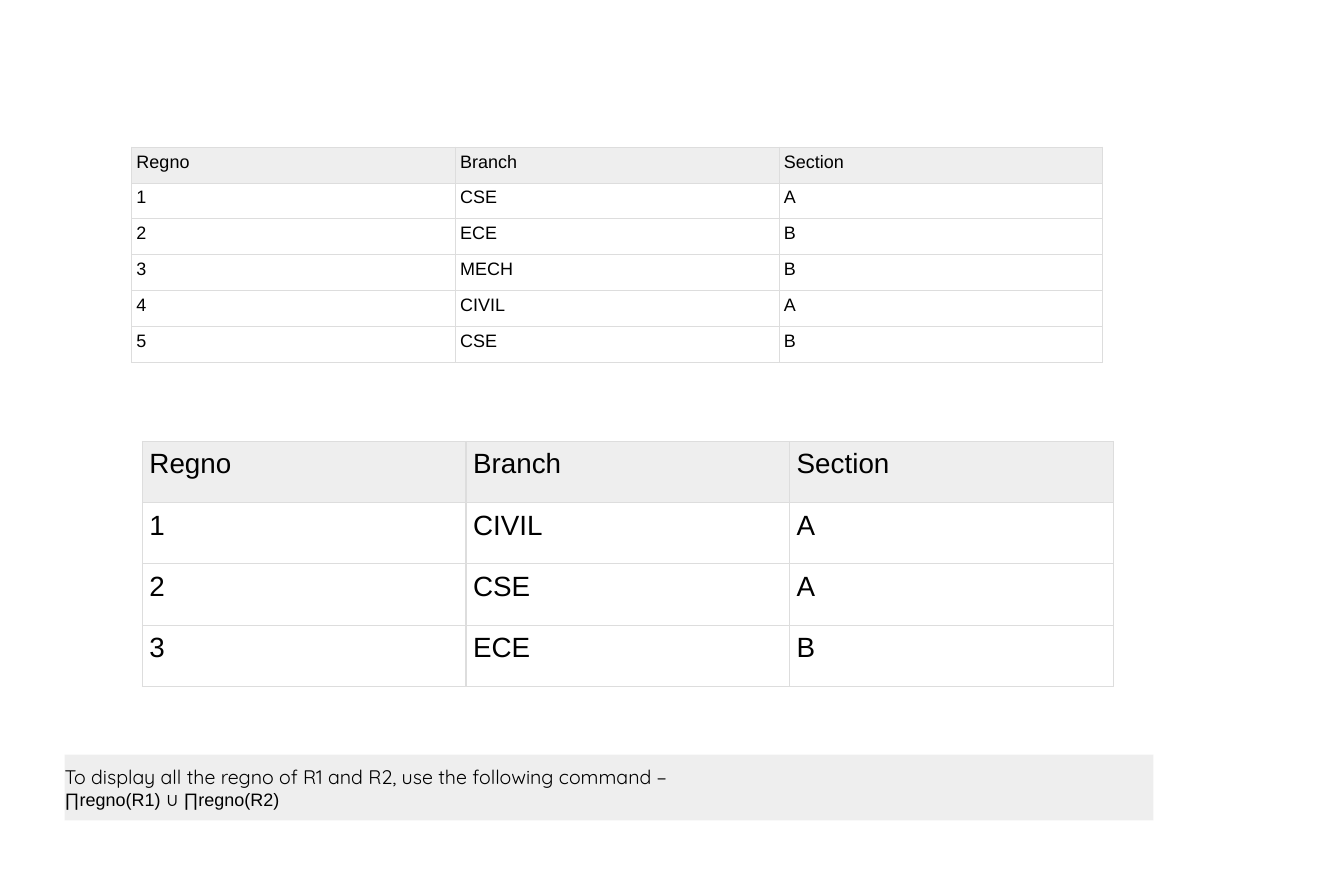
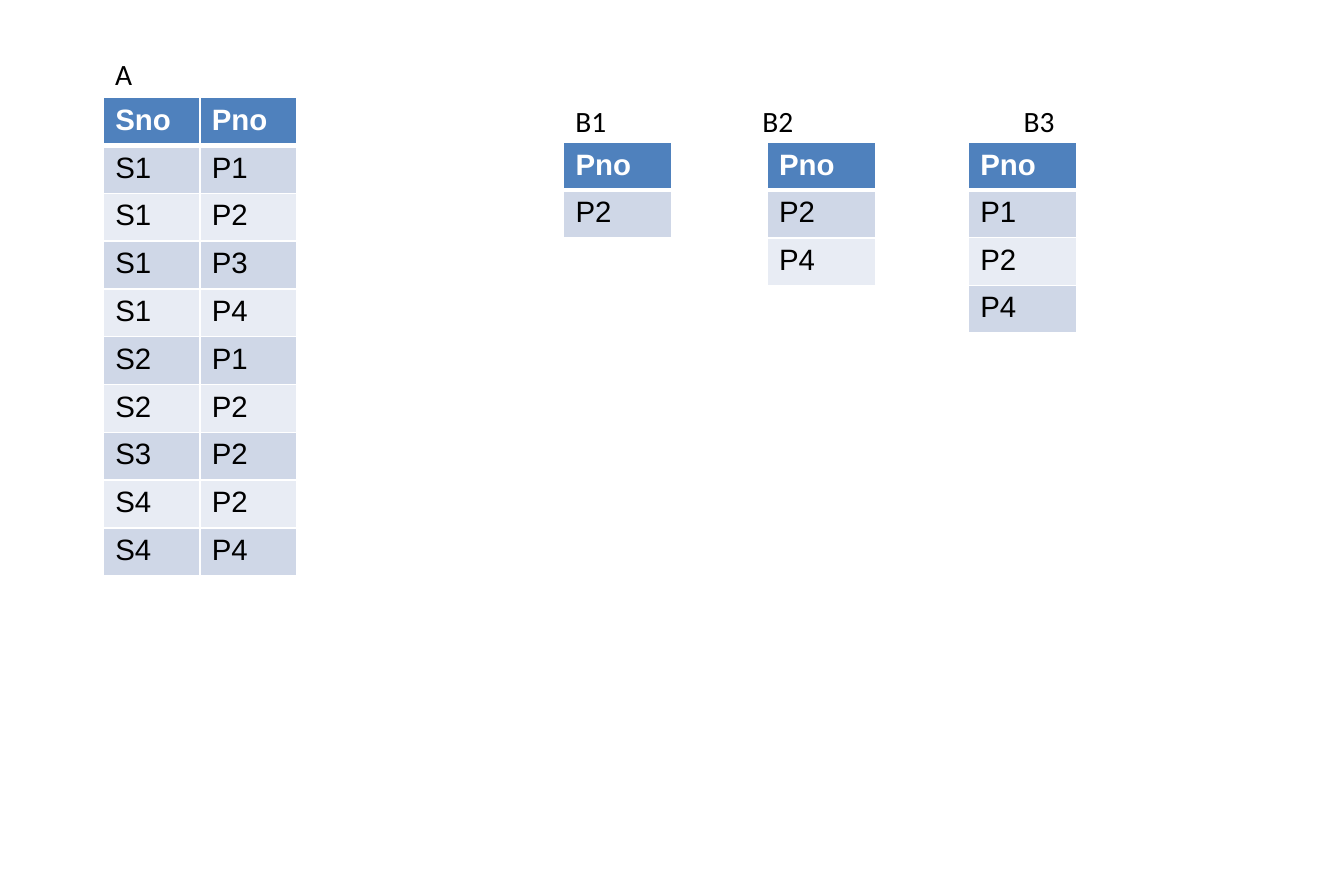
"""Build two slides of relational algebra example tables."""
import pptx
import pptx.dml.color
import pptx.enum.shapes
import pptx.enum.text
import pptx.oxml.ns
import pptx.util
from lxml import etree
from pptx.util import Inches

BLACK, WHITE, GREY = "000000", "FFFFFF", "EEEEEE"
PLAIN = {"header": GREY, "header_text": BLACK, "bands": [WHITE, WHITE], "bold": False,
         "border": "DDDDDD", "line": 0.75, "header_line": 0.75}
BANDED = {"header": "4F81BD", "header_text": WHITE, "bands": ["CFD7E7", "E8ECF4"], "bold": True,
          "border": WHITE, "line": 1, "header_line": 3}


def colour(target, value):
    """Give a fill or a font a solid colour."""
    if hasattr(target, "solid"):
        target.solid()
        target = target.fore_color
    else:
        target = target.color
    target.rgb = pptx.dml.color.RGBColor.from_string(value)


def write(paragraph, text, font="Arial", size=18, color=BLACK, bold=False):
    """Write formatted text into a paragraph."""
    run = paragraph.add_run()
    run.text = text
    run.font.name = font
    run.font.size = pptx.util.Pt(size)
    run.font.bold = bold
    colour(run.font, color)


presentation = pptx.Presentation()
presentation.slide_width = Inches(11.42)
presentation.slide_height = Inches(7.5)
blank = presentation.slide_layouts[6]
union_slide = presentation.slides.add_slide(blank)
division_slide = presentation.slides.add_slide(blank)

students_1 = ["Regno Branch Section", "1 CSE A", "2 ECE B", "3 MECH B", "4 CIVIL A", "5 CSE B"]
students_2 = ["Regno Branch Section", "1 CIVIL A", "2 CSE A", "3 ECE B"]
supplies = ["Sno Pno", "S1 P1", "S1 P2", "S1 P3", "S1 P4", "S2 P1", "S2 P2", "S3 P2", "S4 P2", "S4 P4"]

tables = [
    (union_slide, PLAIN, 1.12, 1.25, 8.25, 1.83, 11, (0.04, 0.04), students_1),
    (union_slide, PLAIN, 1.21, 3.75, 8.25, 2.08, 17, (0.06, 0.06), students_2),
    (division_slide, BANDED, 0.88, 0.83, 1.64, 4.06, 18, (0.1, 0.05), supplies),
    (division_slide, BANDED, 4.79, 1.21, 0.92, 0.81, 18, (0.1, 0.05), ["Pno", "P2"]),
    (division_slide, BANDED, 6.52, 1.21, 0.92, 1.22, 18, (0.1, 0.05), ["Pno", "P2", "P4"]),
    (division_slide, BANDED, 8.23, 1.21, 0.92, 1.62, 18, (0.1, 0.05), ["Pno", "P1", "P2", "P4"]),
]
for slide, style, left, top, width, height, size, (side, edge), lines in tables:
    rows = [line.split() for line in lines]
    table = slide.shapes.add_table(len(rows), len(rows[0]), Inches(left), Inches(top),
                                   Inches(width), Inches(height)).table
    table.first_row = table.horz_banding = False
    for row_index, row in enumerate(rows):
        is_header = row_index == 0
        for column_index, text in enumerate(row):
            cell = table.cell(row_index, column_index)
            cell.margin_left = cell.margin_right = Inches(side)
            cell.margin_top = cell.margin_bottom = Inches(edge)
            write(cell.text_frame.paragraphs[0], text, size=size,
                  color=style["header_text"] if is_header else BLACK,
                  bold=style["bold"] and is_header)
            properties = cell._tc.get_or_add_tcPr()
            for border in ("lnL", "lnR", "lnT", "lnB"):
                under_header = (row_index, border) in ((0, "lnB"), (1, "lnT"))
                points = style["header_line"] if under_header else style["line"]
                line = etree.SubElement(properties, pptx.oxml.ns.qn("a:" + border),
                                        w=str(pptx.util.Pt(points)))
                solid = etree.SubElement(line, pptx.oxml.ns.qn("a:solidFill"))
                etree.SubElement(solid, pptx.oxml.ns.qn("a:srgbClr"), val=style["border"])
            colour(cell.fill, style["header"] if is_header else style["bands"][(row_index - 1) % 2])

command = union_slide.shapes.add_shape(pptx.enum.shapes.MSO_SHAPE.RECTANGLE,
                                       Inches(0.55), Inches(6.41), Inches(9.25), Inches(0.56))
command.shadow.inherit = False
colour(command.fill, GREY)
command.line.fill.background()
frame = command.text_frame
frame.word_wrap = True
frame.vertical_anchor = pptx.enum.text.MSO_ANCHOR.MIDDLE
frame.margin_left = frame.margin_right = 0
frame.margin_top = frame.margin_bottom = Inches(0.09)
write(frame.paragraphs[0], "To display all the regno of R1 and R2, use the following command −",
      font="Quicksand", size=12)
write(frame.add_paragraph(), "∏regno(R1) ∪ ∏regno(R2)", size=11)
for paragraph in frame.paragraphs:
    paragraph.alignment = pptx.enum.text.PP_ALIGN.LEFT

labels = [("A", 0.88, 0.43, 0.58), ("B1", 4.79, 0.83, 0.5), ("B2", 6.38, 0.83, 0.67), ("B3", 8.6, 0.83, 0.67)]
for text, left, top, width in labels:
    label = division_slide.shapes.add_textbox(Inches(left), Inches(top), Inches(width), Inches(0.4))
    label.text_frame.word_wrap = True
    write(label.text_frame.paragraphs[0], text, font="Calibri")

presentation.save("out.pptx")
